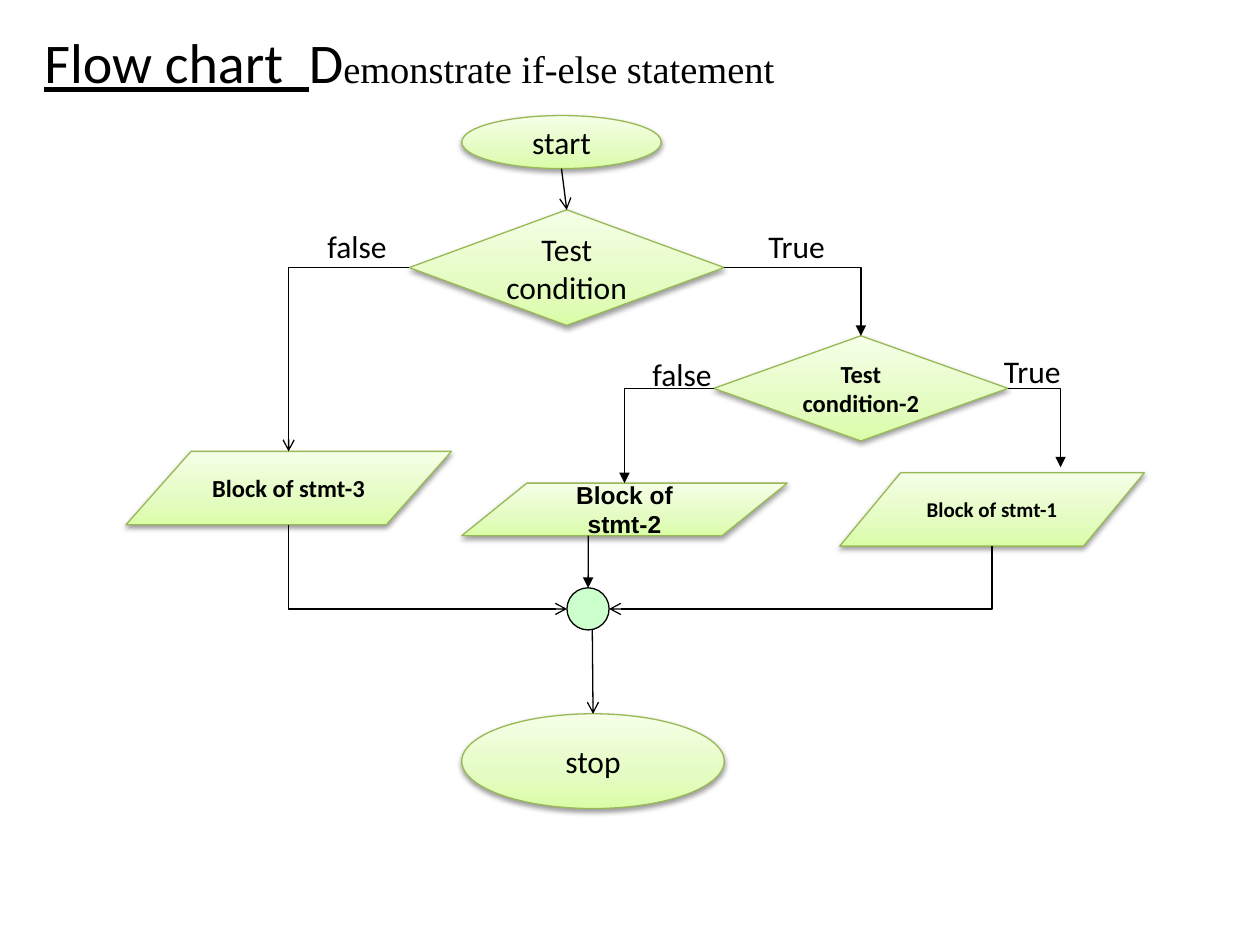
from copy import deepcopy
from dataclasses import dataclass

from lxml.etree import SubElement
from pptx import Presentation
from pptx.dml.color import RGBColor
from pptx.enum.shapes import MSO_CONNECTOR, MSO_SHAPE
from pptx.enum.text import MSO_ANCHOR, MSO_AUTO_SIZE, PP_ALIGN
from pptx.oxml.ns import qn
from pptx.util import Cm, Pt

COLORS = {"text": "000000", "line": "000000", "border": "98B955", "merge": "CCFFCC", "shadow": "000000"}
GRADIENT = [(0, "DAFDA7"), (0.35, "E4FCC2"), (1, "F5FFE7")]
TOP, LEFT, BOTTOM, RIGHT = range(4)


@dataclass
class Box:
    """A region of the slide, measured in centimetres."""
    left: float
    top: float

    def place(self, x, y, *size):
        """Return slide lengths for a position and size inside the box."""
        return [Cm(self.left + x), Cm(self.top + y), *map(Cm, size)]


def rgb(name):
    """Return the named colour."""
    return RGBColor.from_string(COLORS[name])


def add_run(paragraph, text, size, font="Calibri", bold=False, underline=False):
    """Add one formatted run to a paragraph."""
    run = paragraph.add_run()
    run.text = text
    run.font.name, run.font.size = font, Pt(size)
    run.font.bold, run.font.underline = bold, underline
    run.font.color.rgb = rgb("text")


def outline(line, name):
    """Give a shape or connector its thin line."""
    line.color.rgb = rgb(name)
    line.width = Pt(0.75)


def paint_node(shape):
    """Apply the green gradient, border and soft shadow."""
    shape.fill.gradient()
    shape.fill.gradient_angle = 90
    properties = shape._element.spPr
    stop_list = properties.find(qn("a:gradFill")).find(qn("a:gsLst"))
    stop_list.append(deepcopy(stop_list[-1]))
    for stop, (position, color) in zip(shape.fill.gradient_stops, GRADIENT):
        stop.position = position
        stop.color.rgb = RGBColor.from_string(color)
    outline(shape.line, "border")
    shape.shadow.inherit = False
    shadow = SubElement(properties.find(qn("a:effectLst")), qn("a:outerShdw"),
                        blurRad=str(Pt(3.1)), dist=str(Pt(1.6)), dir="5400000", rotWithShape="0")
    color = SubElement(shadow, qn("a:srgbClr"), val=COLORS["shadow"])
    SubElement(color, qn("a:alpha"), val="38000")


def add_node(slide, kind, place, text, size=18, font="Calibri", bold=False):
    """Add a flow chart symbol with centred text."""
    shape = slide.shapes.add_shape(kind, *place)
    paint_node(shape)
    frame = shape.text_frame
    frame.word_wrap = True
    frame.vertical_anchor = MSO_ANCHOR.MIDDLE
    paragraph = frame.paragraphs[0]
    paragraph.alignment = PP_ALIGN.CENTER
    add_run(paragraph, text, size, font, bold)
    return shape


def add_label(slide, place, text):
    """Add a branch label."""
    frame = slide.shapes.add_textbox(*place).text_frame
    frame.word_wrap = False
    frame.auto_size = MSO_AUTO_SIZE.SHAPE_TO_FIT_TEXT
    add_run(frame.paragraphs[0], text, 18)


def middle(shape, side):
    """Return the midpoint of one side of a shape."""
    x, y = shape.left + shape.width // 2, shape.top + shape.height // 2
    return {TOP: (x, shape.top), LEFT: (shape.left, y),
            BOTTOM: (x, shape.top + shape.height), RIGHT: (shape.left + shape.width, y)}[side]


def style_connector(connector, head):
    """Set the line, arrowhead and lack of shadow of a connector."""
    outline(connector.line, "line")
    SubElement(connector.line._get_or_add_ln(), qn("a:tailEnd"), type=head)
    SubElement(connector._element.spPr, qn("a:effectLst"))


def add_arrow(slide, start, target, head):
    """Add a straight arrow joined to the top of its target."""
    connector = slide.shapes.add_connector(MSO_CONNECTOR.STRAIGHT, *start, *middle(target, TOP))
    connector.end_connect(target, TOP)
    style_connector(connector, head)


def add_bend(slide, start, end, head, down_first=False):
    """Add an arrow with one right-angled bend."""
    (x1, y1), (x2, y2) = start, end
    rotation = 0
    if down_first:
        center_x, center_y = (x1 + x2) // 2, (y1 + y2) // 2
        half_width, half_height = (y2 - y1) // 2, abs(x2 - x1) // 2
        direction, rotation = (-1, 270) if x2 > x1 else (1, 90)
        x1, x2 = center_x - direction * half_width, center_x + direction * half_width
        y1, y2 = center_y - half_height, center_y + half_height
    connector = slide.shapes.add_connector(MSO_CONNECTOR.ELBOW, x1, y1, x2, y2)
    properties = connector._element.spPr
    properties.find(qn("a:prstGeom")).set("prst", "bentConnector2")
    if rotation:
        properties.find(qn("a:xfrm")).set("rot", str(rotation * 60000))
    style_connector(connector, head)


def add_heading(slide, box):
    """Fill the body placeholder with the heading."""
    title = slide.shapes.title
    title._element.getparent().remove(title._element)
    body = slide.placeholders[1]
    body.left, body.top, body.width, body.height = box.place(0, 0, 24.13, 17.98)
    paragraph = body.text_frame.paragraphs[0]
    properties = paragraph._p.get_or_add_pPr()
    properties.set("marL", str(Cm(0.95)))
    properties.set("indent", str(Cm(-0.95)))
    SubElement(properties, qn("a:buNone"))
    add_run(paragraph, "Flow chart  ", 32, underline=True)
    add_run(paragraph, "D", 32)
    add_run(paragraph, "emonstrate if-else statement", 22, "Times New Roman")


def add_outer_test(slide, box):
    """Draw the start, first test and false block; return the test and block."""
    start = add_node(slide, MSO_SHAPE.FLOWCHART_CONNECTOR, box.place(6.77, 0, 4.02, 1.07), "start")
    test = add_node(slide, MSO_SHAPE.FLOWCHART_DECISION, box.place(5.71, 1.9, 6.35, 2.33), "Test condition")
    block = add_node(slide, MSO_SHAPE.FLOWCHART_DATA, box.place(0, 6.77, 6.56, 1.48),
                     "Block of stmt-3", 14, bold=True)
    add_arrow(slide, middle(start, BOTTOM), test, "arrow")
    add_bend(slide, middle(test, LEFT), middle(block, TOP), "arrow")
    add_label(slide, box.place(3.81, 2.12, 1.85, 1.02), "false")
    add_label(slide, box.place(12.7, 2.12, 1.83, 1.02), "True")
    return test, block


def add_nested_test(slide, box, outer_test):
    """Draw the second test with its blocks; return the true block."""
    test = add_node(slide, MSO_SHAPE.FLOWCHART_DECISION, box.place(5.08, 0, 5.93, 2.12),
                    "Test condition-2", 14, bold=True)
    false_block = add_node(slide, MSO_SHAPE.FLOWCHART_DATA, box.place(0, 2.97, 6.56, 1.06),
                           "Block of stmt-2", 14, "Arial", True)
    true_block = add_node(slide, MSO_SHAPE.FLOWCHART_DATA, box.place(7.62, 2.76, 6.14, 1.48),
                          "Block of stmt-1", 12, bold=True)
    add_bend(slide, middle(outer_test, RIGHT), middle(test, TOP), "triangle")
    add_bend(slide, middle(test, RIGHT), box.place(12.07, 2.65), "triangle")
    add_bend(slide, middle(test, LEFT), middle(false_block, TOP), "triangle")
    add_label(slide, box.place(10.68, 0.21, 1.83, 1.02), "True")
    add_label(slide, box.place(3.59, 0.27, 1.85, 1.02), "false")
    return true_block


def add_merge(slide, box, left_block, right_block):
    """Draw the junction where all branches meet, and the stop."""
    stop = add_node(slide, MSO_SHAPE.FLOWCHART_CONNECTOR, box.place(0, 2.54, 5.29, 1.91), "stop")
    junction = slide.shapes.add_shape(MSO_SHAPE.OVAL, *box.place(2.12, 0, 0.85, 0.85))
    junction.fill.solid()
    junction.fill.fore_color.rgb = rgb("merge")
    junction.shadow.inherit = False
    outline(junction.line, "line")
    add_bend(slide, middle(left_block, BOTTOM), middle(junction, LEFT), "arrow", True)
    add_bend(slide, middle(right_block, BOTTOM), middle(junction, RIGHT), "arrow", True)
    add_arrow(slide, box.place(2.63, 0.85), stop, "arrow")
    add_arrow(slide, box.place(2.55, -1.05), junction, "triangle")


def main():
    """Build and save the flow chart slide."""
    presentation = Presentation()
    presentation.slide_width, presentation.slide_height = Cm(25.4), Cm(19.05)
    slide = presentation.slides.add_slide(presentation.slide_layouts[1])
    add_heading(slide, Box(0.64, 0.43))
    outer_test, left_block = add_outer_test(slide, Box(2.54, 2.33))
    right_block = add_nested_test(slide, Box(9.31, 6.77), outer_test)
    add_merge(slide, Box(9.31, 11.85), left_block, right_block)
    presentation.save("out.pptx")


if __name__ == "__main__":
    main()
